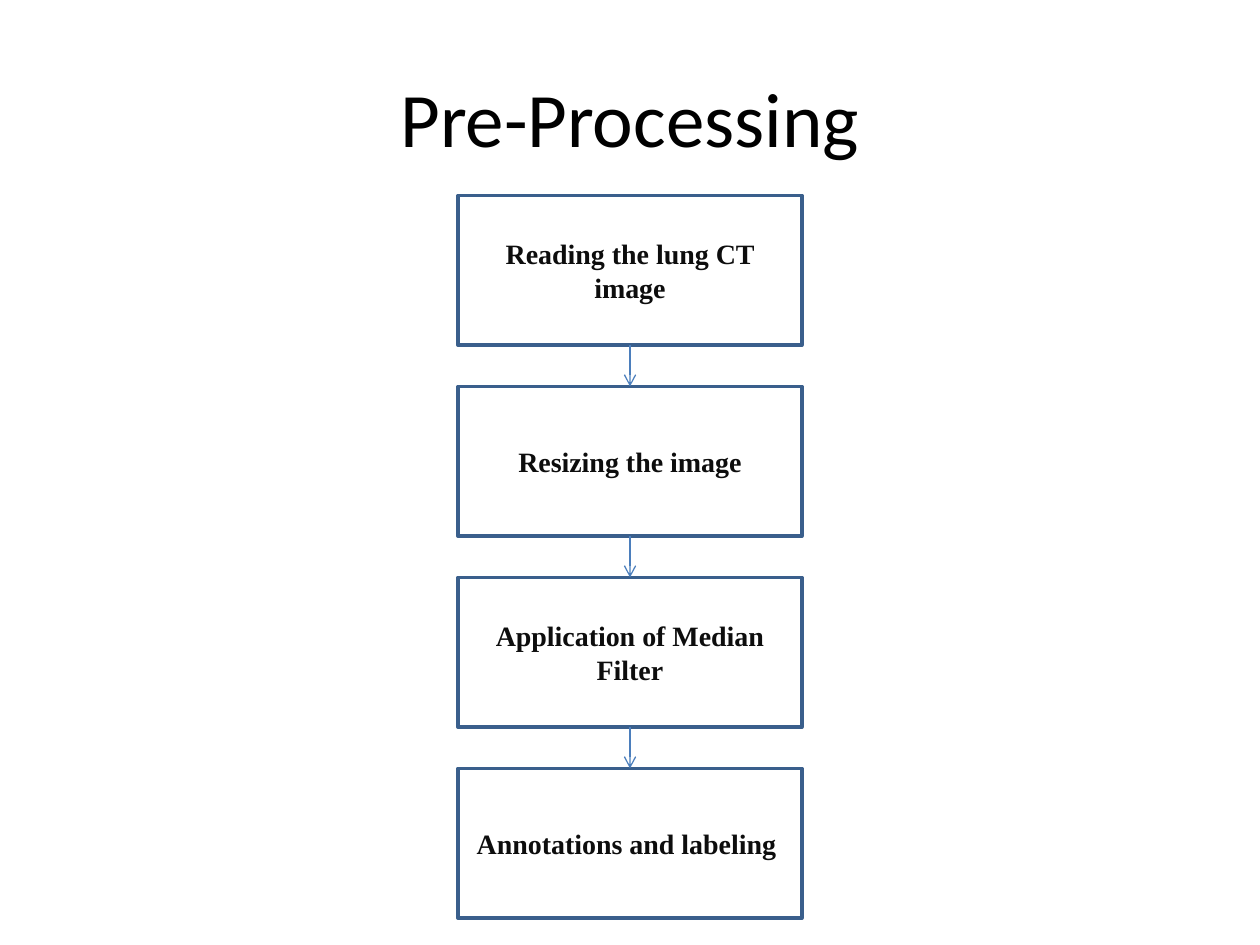
from lxml import etree
from pptx import Presentation
from pptx import util as u
from pptx.dml.color import RGBColor
from pptx.enum import shapes, text
from pptx.oxml.ns import qn

TITLE = "Pre-Processing"
STEPS = [
    "Reading the lung CT image",
    "Resizing the image",
    "Application of Median Filter",
    "Annotations and labeling ",
]
COLORS = {"title": "000000", "text": "0D0D0D", "fill": "FFFFFF",
          "border": "3A5F8C", "arrow": "4B7EBC"}

SLIDE_W, SLIDE_H = 25.4, 19.05
CENTER = SLIDE_W / 2
BOX_W, BOX_H = 6.93, 3.02
TOP, PITCH = 3.94, 3.85


def color(name):
    return RGBColor.from_string(COLORS[name])


def write(sp, content, font, size, shade, bold=False):
    tf = sp.text_frame
    tf.word_wrap = True
    tf.vertical_anchor = text.MSO_ANCHOR.MIDDLE
    p = tf.paragraphs[0]
    p.alignment = text.PP_ALIGN.CENTER
    r = p.add_run()
    r.text = content
    r.font.name = font
    r.font.size = u.Pt(size)
    r.font.bold = bold
    r.font.color.rgb = color(shade)


def add_title(s):
    sp = s.shapes.add_textbox(u.Cm(1.27), u.Cm(0.76), u.Cm(22.86), u.Cm(3.18))
    tf = sp.text_frame
    tf.margin_left = tf.margin_right = u.Cm(0.25)
    tf.margin_top = tf.margin_bottom = u.Cm(0.25)
    write(sp, TITLE, "Calibri", 44, "title")


def add_step(s, content, top):
    sp = s.shapes.add_shape(shapes.MSO_SHAPE.RECTANGLE, u.Cm(CENTER - BOX_W / 2),
                            u.Cm(top), u.Cm(BOX_W), u.Cm(BOX_H))
    sp.shadow.inherit = False
    sp.fill.solid()
    sp.fill.fore_color.rgb = color("fill")
    sp.line.color.rgb = color("border")
    sp.line.width = u.Pt(2)
    write(sp, content, "Times New Roman", 16, "text", bold=True)
    return sp


def add_arrow(s, upper, lower):
    cx = s.shapes.add_connector(shapes.MSO_CONNECTOR.STRAIGHT, 0, 0, 0, 0)
    cx.begin_connect(upper, 2)
    cx.end_connect(lower, 0)
    cx.line.color.rgb = color("arrow")
    cx.line.width = u.Pt(0.75)
    ln = cx.line._get_or_add_ln()
    etree.SubElement(ln, qn("a:tailEnd"), type="arrow")
    etree.SubElement(cx._element.spPr, qn("a:effectLst"))


def main():
    prs = Presentation()
    prs.slide_width, prs.slide_height = u.Cm(SLIDE_W), u.Cm(SLIDE_H)
    s = prs.slides.add_slide(prs.slide_layouts[6])
    add_title(s)
    boxes = [add_step(s, step, TOP + i * PITCH) for i, step in enumerate(STEPS)]
    for upper, lower in zip(boxes, boxes[1:]):
        add_arrow(s, upper, lower)
    prs.save("out.pptx")


if __name__ == "__main__":
    main()
